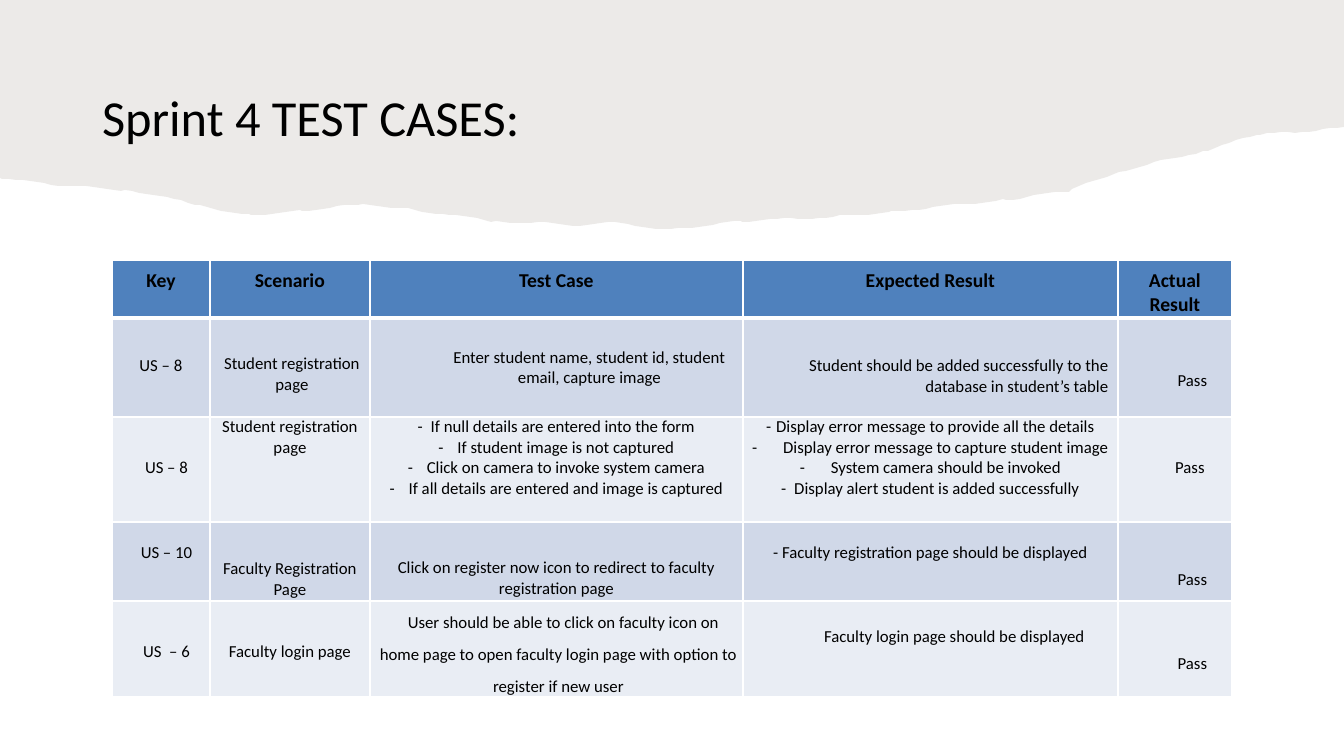
from collections import namedtuple
from itertools import pairwise
from math import sin

from lxml import etree
from pptx import Presentation
from pptx.dml.color import RGBColor
from pptx.enum.text import MSO_ANCHOR, PP_ALIGN
from pptx.oxml.ns import qn
from pptx.util import Pt

PX = 914400 / 100.8
WIDE, HIGH = 1344, 756
BLACK = RGBColor(0x00, 0x00, 0x00)
WHITE = RGBColor(0xFF, 0xFF, 0xFF)
TAUPE = RGBColor(0x82, 0x76, 0x6A)
BLUE = RGBColor(0x4F, 0x81, 0xBD)
DARK = RGBColor(0xD0, 0xD8, 0xE8)
LIGHT = RGBColor(0xE9, 0xED, 0xF4)
CENTER, LEFT = PP_ALIGN.CENTER, PP_ALIGN.LEFT
TOP, BOTTOM = MSO_ANCHOR.TOP, MSO_ANCHOR.BOTTOM
FONT = "Calibri"


def px(n):
    return int(n * PX)


def style(par, size, bold=False):
    for run in par.runs:
        run.font.name = FONT
        run.font.size = Pt(size)
        run.font.bold = bold
        run.font.color.rgb = BLACK


prs = Presentation()
prs.slide_width, prs.slide_height = px(WIDE), px(HIGH)
slide = prs.slides.add_slide(prs.slide_layouts[5])

# Title
title = slide.shapes.title
title.left, title.top, title.width, title.height = px(92), px(42), px(1161), px(111)
title.text_frame.text = "Sprint 4 TEST CASES:"
title.text_frame.vertical_anchor = BOTTOM
title.text_frame.word_wrap = True
head = title.text_frame.paragraphs[0]
head.alignment = LEFT
head.line_spacing = 0.9
style(head, 36)

# Torn paper band behind the title: straight runs between the main bends,
# roughened by a ripple one pixel high
BENDS = [
    (WIDE, 128), (1257, 135), (1203, 151), (1114, 173), (1069, 191), (1003, 200),
    (889, 212), (833, 217), (741, 221), (670, 230), (615, 223), (580, 225),
    (491, 221), (443, 214), (405, 208), (358, 205), (300, 211), (249, 215),
    (195, 205), (153, 194), (121, 190), (58, 185), (0, 178),
]
STEP = 7
edge = [(WIDE, 0)]
for (x1, y1), (x2, y2) in pairwise(BENDS):
    for x in range(x1, x2, -STEP):
        y = y1 + (y2 - y1) * (x1 - x) / (x1 - x2)
        edge.append((x, y + sin(x)))
edge.append(BENDS[-1])

pen = slide.shapes.build_freeform(0, 0, scale=PX)
pen.add_line_segments(edge, close=True)
band = pen.convert_to_shape()
band.shadow.inherit = False
band.line.fill.background()
band.fill.solid()
band.fill.fore_color.rgb = TAUPE
tint = band.element.spPr.find(qn("a:solidFill"))[0]
etree.SubElement(tint, qn("a:alpha")).set("val", "15000")
title.element.addprevious(band.element)

# A line has a left margin and a first-line indent; a bullet hangs by its gap.
# A cell has a top inset, its lines, a line spacing and a right margin.
Line = namedtuple("Line", "text left first gap", defaults=(0, 0, 0))
Cell = namedtuple("Cell", "top lines space right", defaults=(None, 0))
SHIFT = 11
PASS = [Line("Pass", 35)]

HEADS = [Cell(9, [Line(name)]) for name in ("Key", "Scenario", "Test Case", "Expected Result")]
HEADS.append(Cell(9, [Line("Actual Result", SHIFT)], right=SHIFT))

ADD = [
    Cell(38, [Line("US – 8")]),
    Cell(36, [Line("Student registration page", 4)]),
    Cell(31, [Line("Enter student name, student id, student email, capture image", 66)],
         space=Pt(13.8)),
    Cell(37, [Line("Student should be added successfully to the database in student’s table",
                   173, -116)], space=1.02),
    Cell(53, PASS),
]
CHECK = [
    Cell(41, [Line("US – 8", SHIFT)]),
    Cell(0, [Line("Student registration page")]),
    Cell(0, [Line("If null details are entered into the form", gap=13),
             Line("If student image is not captured", gap=19),
             Line("Click on camera to invoke system camera", gap=19),
             Line("If all details are entered and image is captured", gap=19)]),
    Cell(0, [Line("Display error message to provide all the details", gap=10),
             Line("Display error message to capture student image", gap=31),
             Line("System camera should be invoked", gap=31),
             Line("Display alert student is added successfully", gap=13)]),
    Cell(41, [Line("Pass", 30)]),
]
JOIN = [
    Cell(21, [Line("US – 10", SHIFT)]),
    Cell(37, [Line("Faculty Registration Page")]),
    Cell(36, [Line("Click on register now icon to redirect to faculty registration page")]),
    Cell(21, [Line("Faculty registration page should be displayed", gap=9)]),
    Cell(48, PASS),
]
LOGIN = [
    Cell(41, [Line("US  – 6", SHIFT)]),
    Cell(41, [Line("Faculty login page")]),
    Cell(0, [Line("User should be able to click on faculty icon on home page to open "
                  "faculty login page with option to register if new user", 8, 10)],
         space=1.56, right=4),
    Cell(26, [Line("Faculty login page should be displayed", 48)]),
    Cell(53, PASS),
]

# Each table row: height, fill, cells
ROWS = [(58, BLUE, HEADS), (99, DARK, ADD), (105, LIGHT, CHECK),
        (79, DARK, JOIN), (94, LIGHT, LOGIN)]
COLS = [98, 160, 373, 375, 114]
tall = sum(height for height, _, _ in ROWS)
table = slide.shapes.add_table(len(ROWS), len(COLS), px(112), px(260),
                               px(sum(COLS)), px(tall)).table
table.horz_banding = False
for col, width in zip(table.columns, COLS):
    col.width = px(width)

for r, (height, color, cells) in enumerate(ROWS):
    table.rows[r].height = px(height)
    for c, spec in enumerate(cells):
        cell = table.cell(r, c)
        cell.margin_left = cell.margin_right = cell.margin_bottom = 0
        cell.margin_top = px(spec.top)
        cell.vertical_anchor = TOP
        for side in ("lnL", "lnR", "lnT", "lnB"):
            thick = (r, side) in ((0, "lnB"), (1, "lnT"))
            rule = etree.SubElement(cell._tc.get_or_add_tcPr(), qn("a:" + side))
            rule.set("w", str(Pt(3 if thick else 1)))
            paint = etree.SubElement(rule, qn("a:solidFill"))
            etree.SubElement(paint, qn("a:srgbClr")).set("val", str(WHITE))
        cell.fill.solid()
        cell.fill.fore_color.rgb = color

        frame = cell.text_frame
        frame.text = "\n".join(line.text for line in spec.lines)
        for par, line in zip(frame.paragraphs, spec.lines):
            props = par._p.get_or_add_pPr()
            props.set("marL", str(px(line.left + line.gap)))
            props.set("indent", str(px(line.first - line.gap)))
            props.set("marR", str(px(spec.right)))
            if line.gap:
                etree.SubElement(props, qn("a:buFont")).set("typeface", FONT)
                etree.SubElement(props, qn("a:buChar")).set("char", "-")
            par.alignment = CENTER
            par.line_spacing = spec.space
            style(par, 12 if r else 14, bold=r == 0)

prs.save("out.pptx")
